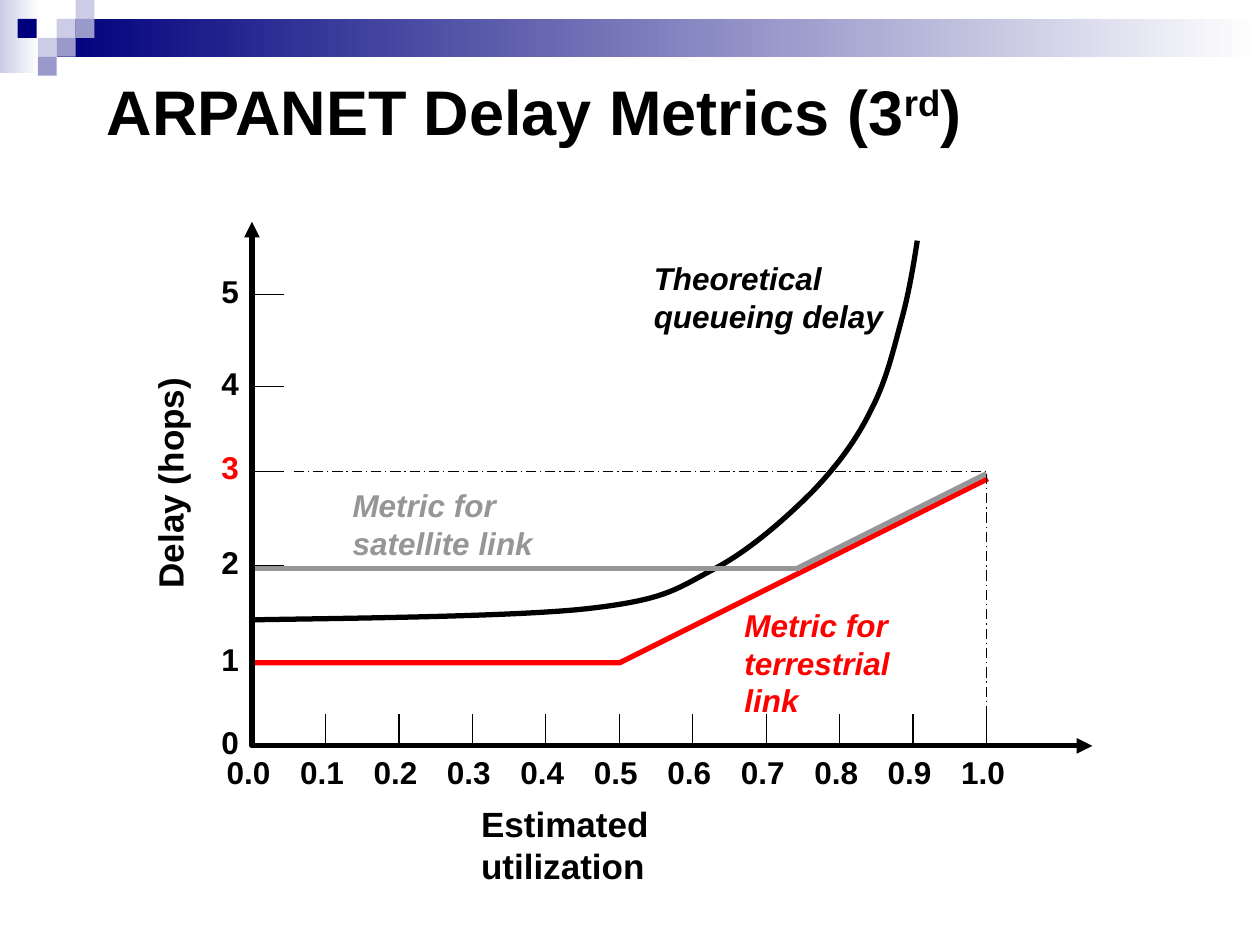
from lxml.etree import SubElement
from pptx import Presentation
from pptx.dml.color import RGBColor as RGB
from pptx.enum.dml import MSO_LINE as Dash
from pptx.enum.shapes import MSO_CONNECTOR as Conn, MSO_SHAPE as Shape
from pptx.enum.text import MSO_ANCHOR as Anchor
from pptx.oxml.ns import qn
from pptx.util import Inches, Pt

THEME = {
    "font": "Arial",
    "black": "000000", "white": "FFFFFF", "red": "FF0000", "gray": "969696",
    "navy": "00007D", "violet": "9999CC", "lavender": "CCCCE6",
    "title": 36, "axis": 20, "label": 18, "thin": 0.75, "thick": 3,
}

# Header: gradient bars (box, left colour), then squares (left, top, colour)
BARS = [((0, 0, 0.31, 0.58), "lavender"), ((0.45, 0.15, 9.55, 0.3), "navy")]
SQUARE = 0.15
SQUARES = [
    (0.45, 0.15, "lavender"), (0.6, 0, "lavender"), (0.6, 0.15, "violet"),
    (0.3, 0.3, "lavender"), (0.14, 0.15, "navy"), (0.45, 0.3, "violet"),
    (0.3, 0.45, "violet"),
]

TITLE = [("ARPANET Delay Metrics (3", 0), ("rd", 30000), (")", 0)]
CURVE_LABELS = [
    ("Theoretical\vqueueing delay", (5.09, 2.01, 2.02, 0.7), "black"),
    ("Metric for\vsatellite link", (2.7, 3.81, 1.63, 0.7), "gray"),
    ("Metric for\vterrestrial link", (5.81, 4.76, 1.85, 0.7), "red"),
]

# Axes: utilization runs 0.0 to 1.0, hop levels are unevenly spaced
X0, Y0, X_SPAN, TICK = 2, 5.92, 5.83, 0.25
X_END, Y_END = 8.67, 1.76
HOPS = {1: 5.26, 2: 4.49, 3: 3.74, 4: 3.07, 5: 2.34}
X_MAX = X0 + X_SPAN

# Start point, then groups of two control points and an end point
QUEUEING = [
    (2, 4.92),
    (2.44, 4.91), (4.06, 4.9), (4.67, 4.83),
    (5.28, 4.76), (5.36, 4.68), (5.66, 4.52),
    (5.95, 4.37), (6.24, 4.11), (6.45, 3.9),
    (6.66, 3.68), (6.81, 3.47), (6.92, 3.24),
    (7.04, 3.01), (7.1, 2.74), (7.16, 2.52),
    (7.22, 2.3), (7.26, 2.04), (7.28, 1.91),
]
TERRESTRIAL = [(2, 5.26), (4.92, 5.26), (7.84, 3.8)]
SATELLITE = [((2, 4.51), (6.35, 4.51)), ((6.33, 4.51), (X_MAX, 3.76))]
GUIDES = [((2.33, 3.74), (X_MAX, 3.74)), ((X_MAX, 3.76), (X_MAX, Y0))]


def color(name):
    return RGB.from_string(THEME[name])


def add_rect(shapes, box, fill, fade=False):
    sp = shapes.add_shape(Shape.RECTANGLE, *map(Inches, box))
    sp.shadow.inherit = False
    sp.line.fill.background()
    if fade:
        sp.fill.gradient()
        sp.fill.gradient_angle = 180
        for stop, name in zip(sp.fill.gradient_stops, ("white", fill)):
            stop.color.rgb = color(name)
    else:
        sp.fill.solid()
        sp.fill.fore_color.rgb = color(fill)


def add_text(shapes, text, box, size="label", fill="black", italic=False,
             vertical=False):
    """Add bold text; a list of (text, baseline) pairs makes several runs."""
    tf = shapes.add_textbox(*map(Inches, box)).text_frame
    tf.word_wrap = False
    p = tf.paragraphs[0]
    if isinstance(text, str):
        p.text = text
    else:
        for part, baseline in text:
            r = p.add_run()
            r.text = part
            r.font._element.set("baseline", str(baseline))
    style = {"name": THEME["font"], "size": Pt(THEME[size]),
             "bold": True, "italic": italic}
    for r in p.runs:
        for key, value in style.items():
            setattr(r.font, key, value)
        r.font.color.rgb = color(fill)
    if vertical:
        tf._txBody.bodyPr.set("vert", "vert270")
        for side, inset in zip(("left", "top", "right", "bottom"),
                               (0.05, 0.1, 0.05, 0.1)):
            setattr(tf, f"margin_{side}", Inches(inset))
    return tf


def style_line(sp, fill, width, dash=None):
    sp.line.color.rgb = color(fill)
    sp.line.width = Pt(THEME[width])
    if dash:
        sp.line.dash_style = dash


def add_line(shapes, start, end, fill="black", width="thin", dash=None):
    sp = shapes.add_connector(Conn.STRAIGHT, *map(Inches, start + end))
    style_line(sp, fill, width, dash)
    SubElement(sp._element.spPr, qn("a:effectLst"))


def add_path(shapes, points, fill="black"):
    start, *rest = [tuple(map(Inches, pt)) for pt in points]
    builder = shapes.build_freeform(*start)
    builder.add_line_segments(rest, close=False)
    sp = builder.convert_to_shape()
    sp.shadow.inherit = False
    sp.fill.background()
    style_line(sp, fill, "thick")
    return sp


def make_curved(sp):
    """Turn each three straight segments into one cubic Bézier segment."""
    outline = next(sp._element.iter(qn("a:path")))
    segments = outline.findall(qn("a:lnTo"))
    for i in range(0, len(segments), 3):
        curve = SubElement(outline, qn("a:cubicBezTo"))
        for segment in segments[i:i + 3]:
            curve.append(segment[0])
            outline.remove(segment)


def add_header(shapes):
    for box, fill in BARS:
        add_rect(shapes, box, fill, fade=True)
    for left, top, fill in SQUARES:
        add_rect(shapes, (left, top, SQUARE, SQUARE), fill)
    tf = add_text(shapes, TITLE, (0.75, 0.25, 8.5, 1.25), "title")
    tf.word_wrap = True
    tf.vertical_anchor = Anchor.MIDDLE


def add_scales(shapes):
    for i in range(11):
        x = X0 + X_SPAN * i / 10
        add_line(shapes, (x, Y0 - TICK), (x, Y0))
        add_text(shapes, f"{i / 10:.1f}", (x - 0.3, 5.93, 0.55, 0.4))
    for hop, y in HOPS.items():
        add_line(shapes, (X0, y), (X0 + TICK, y))
    for hop, y in {0: Y0, **HOPS}.items():
        add_text(shapes, str(hop), (1.66, y - 0.23, 0.34, 0.4),
                 fill="red" if hop == 3 else "black")
    add_text(shapes, "Delay (hops)", (1.13, 3, 0.53, 1.77), "axis",
             vertical=True)
    add_text(shapes, "Estimated utilization", (3.72, 6.32, 2.9, 0.44), "axis")


def add_axes(shapes):
    sp = add_path(shapes, [(X0, Y_END), (X0, Y0), (X_END, Y0)])
    for end in ("headEnd", "tailEnd"):
        SubElement(sp.line._get_or_add_ln(), qn(f"a:{end}"), type="triangle")


def main():
    prs = Presentation()
    prs.slide_width, prs.slide_height = Inches(10), Inches(7.5)
    shapes = prs.slides.add_slide(prs.slide_layouts[6]).shapes
    add_header(shapes)
    make_curved(add_path(shapes, QUEUEING))
    for text, box, fill in CURVE_LABELS:
        add_text(shapes, text, box, fill=fill, italic=True)
    add_scales(shapes)
    add_path(shapes, TERRESTRIAL, "red")
    for start, end in SATELLITE:
        add_line(shapes, start, end, "gray", "thick")
    add_axes(shapes)
    for start, end in GUIDES:
        add_line(shapes, start, end, dash=Dash.LONG_DASH_DOT)
    prs.save("out.pptx")


if __name__ == "__main__":
    main()
